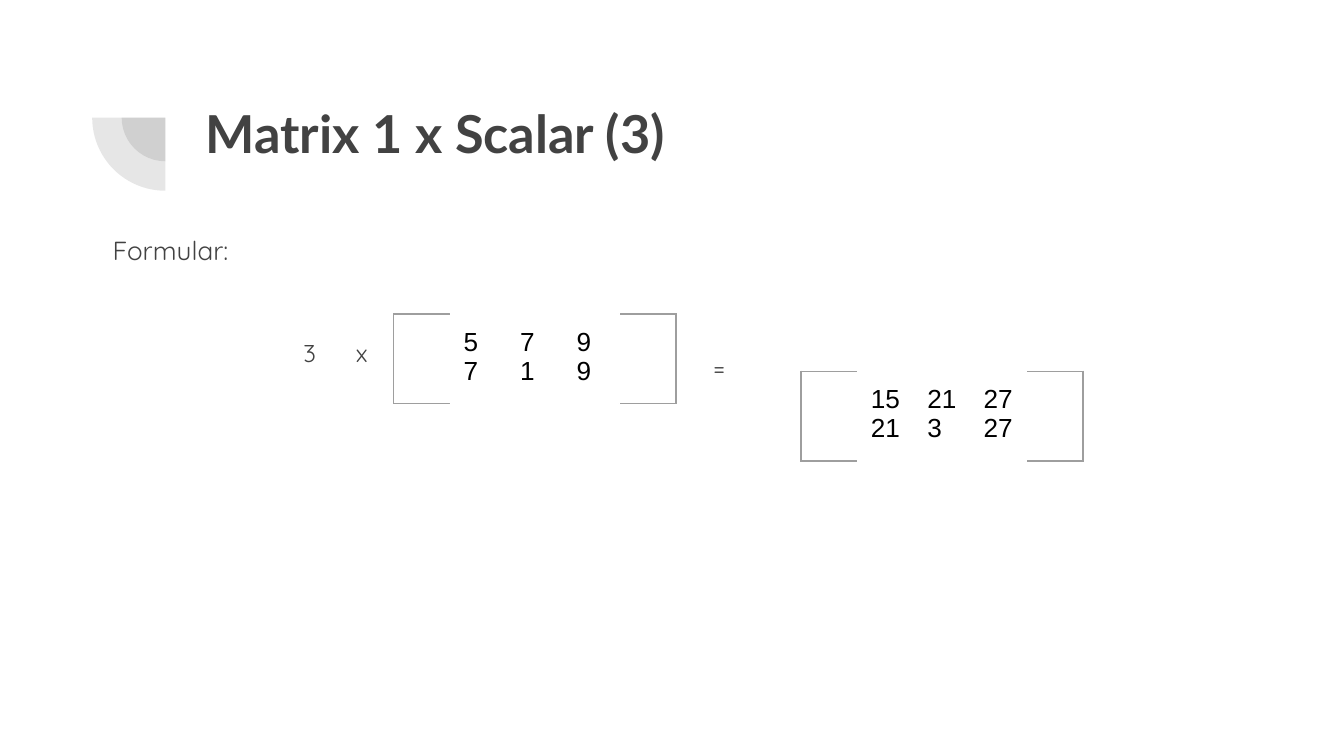
from lxml import etree
from pptx import Presentation
from pptx.dml.color import RGBColor
from pptx.enum.shapes import MSO_SHAPE
from pptx.oxml.ns import qn
from pptx.util import Pt

PIE = MSO_SHAPE.PIE
COLORS = {"ink": "424242", "number": "000000", "bracket": "9E9E9E", "paper": "FFFFFF"}
CELL_WIDTH, ROW_HEIGHT = 30.24, 46
INSET = 7.2


def style_font(font, name, size, color, bold=False):
    font.name, font.size, font.bold = name, Pt(size), bold
    font.color.rgb = RGBColor.from_string(COLORS[color])


def add_text(page, text, left, top, width, height, size, name="Quicksand",
             bold=False, spacing=1.0):
    box = page.shapes.add_textbox(Pt(left), Pt(top), Pt(width), Pt(height))
    frame = box.text_frame
    frame.word_wrap = True
    frame.margin_left = frame.margin_right = Pt(INSET)
    frame.margin_top = frame.margin_bottom = Pt(INSET)
    para = frame.paragraphs[0]
    para.text = text
    para.line_spacing = spacing
    style_font(para.font, name, size, "ink", bold)


def add_quarter(page, center_x, center_y, radius):
    """Add a translucent lower-left quarter of a circle."""
    quarter = page.shapes.add_shape(PIE, Pt(center_x - radius), Pt(center_y - radius),
                                    Pt(2 * radius), Pt(2 * radius))
    # Angles from 90 to 180 degrees, in units of 100000 / 60000 degree
    quarter.adjustments[0], quarter.adjustments[1] = 54, 108
    quarter.shadow.inherit = False
    quarter.line.fill.background()
    quarter.fill.solid()
    quarter.fill.fore_color.rgb = RGBColor.from_string(COLORS["ink"])
    color = quarter._element.spPr.find(".//" + qn("a:srgbClr"))
    etree.SubElement(color, qn("a:alpha"), val="13000")


def set_borders(cell, gray_sides):
    properties = cell._tc.get_or_add_tcPr()
    for side in "LRTB":
        line = etree.SubElement(properties, qn("a:ln" + side), w=str(Pt(0.75)))
        fill = etree.SubElement(line, qn("a:solidFill"))
        color = "bracket" if side in gray_sides else "paper"
        etree.SubElement(fill, qn("a:srgbClr"), val=COLORS[color])


def add_matrix(page, rows, left, top):
    """Add one cell per matrix column between two bracket cells."""
    columns = [(), *zip(*rows), ()]
    last = len(columns) - 1
    frame = page.shapes.add_table(1, len(columns), Pt(left), Pt(top),
                                  Pt(CELL_WIDTH * len(columns)), Pt(ROW_HEIGHT))
    table = frame.table
    table.first_row = table.horz_banding = False
    table.rows[0].height = Pt(ROW_HEIGHT)
    bracket_sides = {0: "LTB", last: "RTB"}
    for index, numbers in enumerate(columns):
        table.columns[index].width = Pt(CELL_WIDTH)
        cell = table.cell(0, index)
        cell.margin_left = cell.margin_right = Pt(INSET)
        cell.margin_top = cell.margin_bottom = Pt(INSET)
        cell.text = "\n".join(str(number) for number in numbers)
        for para in cell.text_frame.paragraphs:
            style_font(para.font, "Arial", 14, "number")
        set_borders(cell, bracket_sides.get(index, ""))
        cell.fill.background()


def main():
    deck = Presentation()
    deck.slide_width, deck.slide_height = Pt(720), Pt(405)
    page = deck.slides.add_slide(deck.slide_layouts[6])

    # Heading with its corner ornament
    for radius in (23.4, 39.2):
        add_quarter(page, 88.6, 63, radius)
    add_text(page, "Matrix 1 x Scalar (3)", 103, 46.8, 553.7, 78.5, 28, "Lato", bold=True)
    add_text(page, "Formular:", 53.3, 115.9, 635, 40, 14, spacing=1.15)

    # Equation: scalar times matrix equals product
    scalar = 3
    matrix = [(5, 7, 9), (7, 1, 9)]
    product = [[scalar * number for number in row] for row in matrix]
    add_text(page, str(scalar), 155.5, 174.2, 43.2, 36, 13)
    add_text(page, "x", 183.6, 174.2, 28, 36, 13)
    add_matrix(page, matrix, 211, 168.2)
    add_text(page, "=", 375.1, 181.4, 28, 36, 13)
    add_matrix(page, product, 429.1, 198.9)

    deck.save("out.pptx")


if __name__ == "__main__":
    main()
